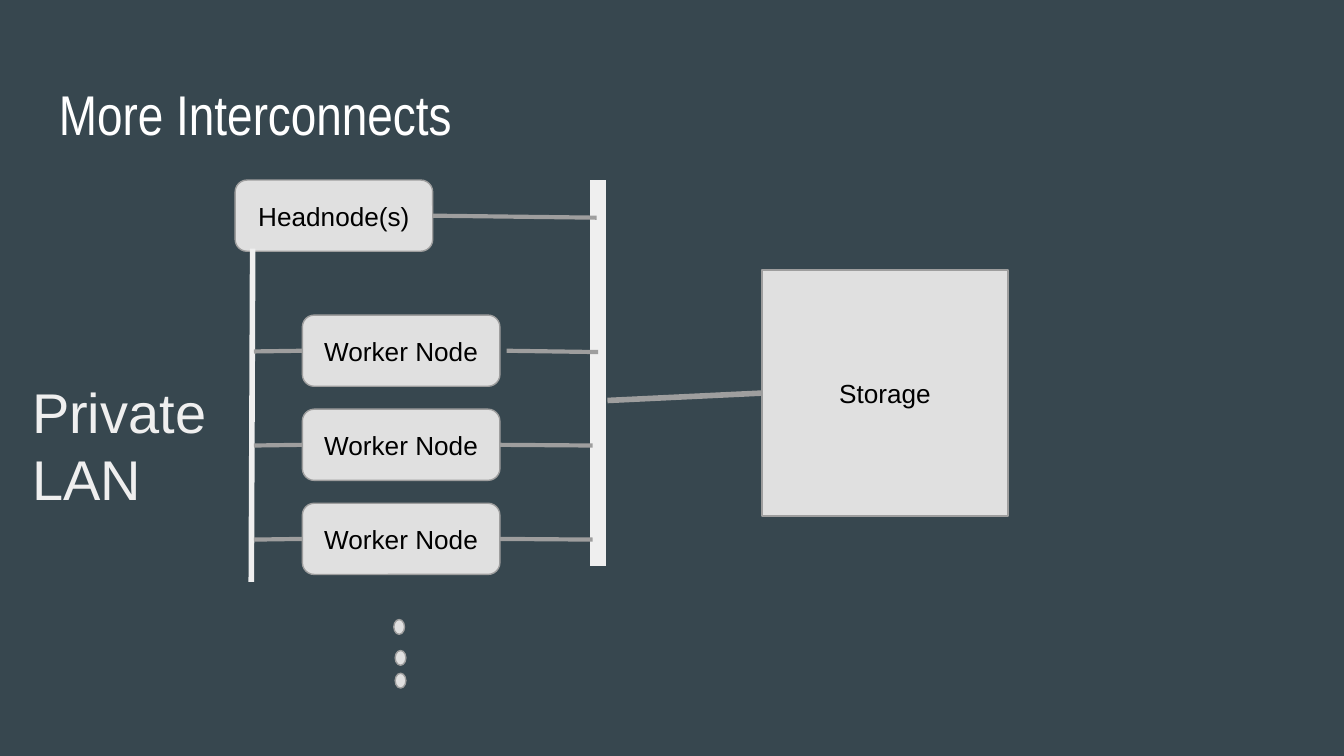
from pptx import Presentation
from pptx.dml.color import RGBColor
from pptx.enum.shapes import MSO_CONNECTOR, MSO_SHAPE
from pptx.enum.text import MSO_ANCHOR, PP_ALIGN
from pptx.oxml.ns import qn
from pptx.util import Inches, Pt
from lxml import etree

LINE = MSO_CONNECTOR.STRAIGHT
ROUND, RECT, OVAL = MSO_SHAPE.ROUNDED_RECTANGLE, MSO_SHAPE.RECTANGLE, MSO_SHAPE.OVAL
TOP, MID = MSO_ANCHOR.TOP, MSO_ANCHOR.MIDDLE
LEFT, CENTER = PP_ALIGN.LEFT, PP_ALIGN.CENTER
WEST, EAST = 1, 3

SLATE = RGBColor(0x37, 0x47, 0x4F)
WHITE = RGBColor(0xFF, 0xFF, 0xFF)
PALE = RGBColor(0xEF, 0xEF, 0xEF)
LIGHT = RGBColor(0xE0, 0xE0, 0xE0)
GRAY = RGBColor(0x9E, 0x9E, 0x9E)
BLACK = RGBColor(0, 0, 0)

# Grid of 100 columns by 56.25 rows, each cell a tenth of an inch
COLS, ROWS = 100, 56.25
NODE_W, NODE_H = 14.7, 5.3


def cell(n):
    return Inches(n / 10)


def write(shape, text, size, color, font="Arial", align=LEFT, anchor=TOP):
    frame = shape.text_frame
    frame.word_wrap = True
    frame.vertical_anchor = anchor
    frame.margin_left = frame.margin_right = cell(1)
    frame.margin_top = frame.margin_bottom = cell(1)
    para = frame.paragraphs[0]
    para.alignment = align
    run = para.add_run()
    run.text = text
    run.font.size = Pt(size)
    run.font.name = font
    run.font.color.rgb = color


def label(slide, box, text, color, font="Arial"):
    write(slide.shapes.add_textbox(*map(cell, box)), text, 30, color, font)


def block(slide, kind, box, text=None):
    shape = slide.shapes.add_shape(kind, *map(cell, box))
    shape.shadow.inherit = False
    shape.fill.solid()
    shape.fill.fore_color.rgb = LIGHT
    shape.line.color.rgb = GRAY
    shape.line.width = Pt(0.75)
    if text:
        write(shape, text, 14, BLACK, align=CENTER, anchor=MID)
    return shape


def wire(slide, start, end, color=GRAY, width=2.25, node=None, side=None):
    line = slide.shapes.add_connector(LINE, *map(cell, start + end))
    line.line.color.rgb = color
    line.line.width = Pt(width)
    etree.SubElement(line._element.spPr, qn("a:effectLst"))
    if node is not None:
        line.begin_connect(node, side)


def cluster(slide, box, bus):
    """Headnode, worker nodes, private LAN and the links to the bus."""
    x, y, w, h = box
    head = block(slide, ROUND, (x, y, NODE_W, NODE_H), "Headnode(s)")

    # Private LAN and shared bus
    wire(slide, (x + 1.3, y + 5.1), (x + 1.2, y + 29.9), PALE, 3)
    wire(slide, (bus, y), (bus, y + 28.7), PALE, 9)
    wire(slide, (x + NODE_W, y + 2.6), (bus - 0.1, y + 2.8), node=head, side=EAST)

    # Worker nodes; the first link starts just clear of its node
    left = x + w - NODE_W
    for i in range(3):
        top = y + 10.05 + 7 * i
        mid = top + NODE_H / 2
        node = block(slide, ROUND, (left, top, NODE_W, NODE_H), "Worker Node")
        wire(slide, (left, mid), (x + 1.4, mid + 0.05), node=node, side=WEST)
        if i == 0:
            wire(slide, (x + w + 0.5, mid), (bus, mid + 0.1))
        else:
            wire(slide, (x + w, mid), (bus - 0.4, mid + 0.05), node=node, side=EAST)

    # Dots for further workers
    for dx, up in ((11.8, 5.1), (11.9, 2.8), (11.9, 1.1)):
        block(slide, OVAL, (x + dx, y + h - up, 0.8, 1.1))


def storage(slide, box, bus):
    x, y, w, h = box
    store = block(slide, RECT, box, "Storage")
    mid = y + h / 2
    wire(slide, (x, mid), (bus + 0.7, mid + 0.55), width=3, node=store, side=WEST)


def main():
    deck = Presentation()
    deck.slide_width, deck.slide_height = cell(COLS), cell(ROWS)
    slide = deck.slides.add_slide(deck.slide_layouts[6])
    slide.background.fill.solid()
    slide.background.fill.fore_color.rgb = SLATE

    bus = 44.5
    label(slide, (3.4, 4.9, 93.2, 6.3), "More Interconnects", WHITE, "Arial Narrow")
    cluster(slide, (17.5, 13.4, 19.7, 37.8), bus)
    storage(slide, (56.7, 20.1, 18.3, 18.3), bus)
    label(slide, (1.4, 27.1, 16.1, 15), "Private LAN", PALE)
    deck.save("out.pptx")


if __name__ == "__main__":
    main()
